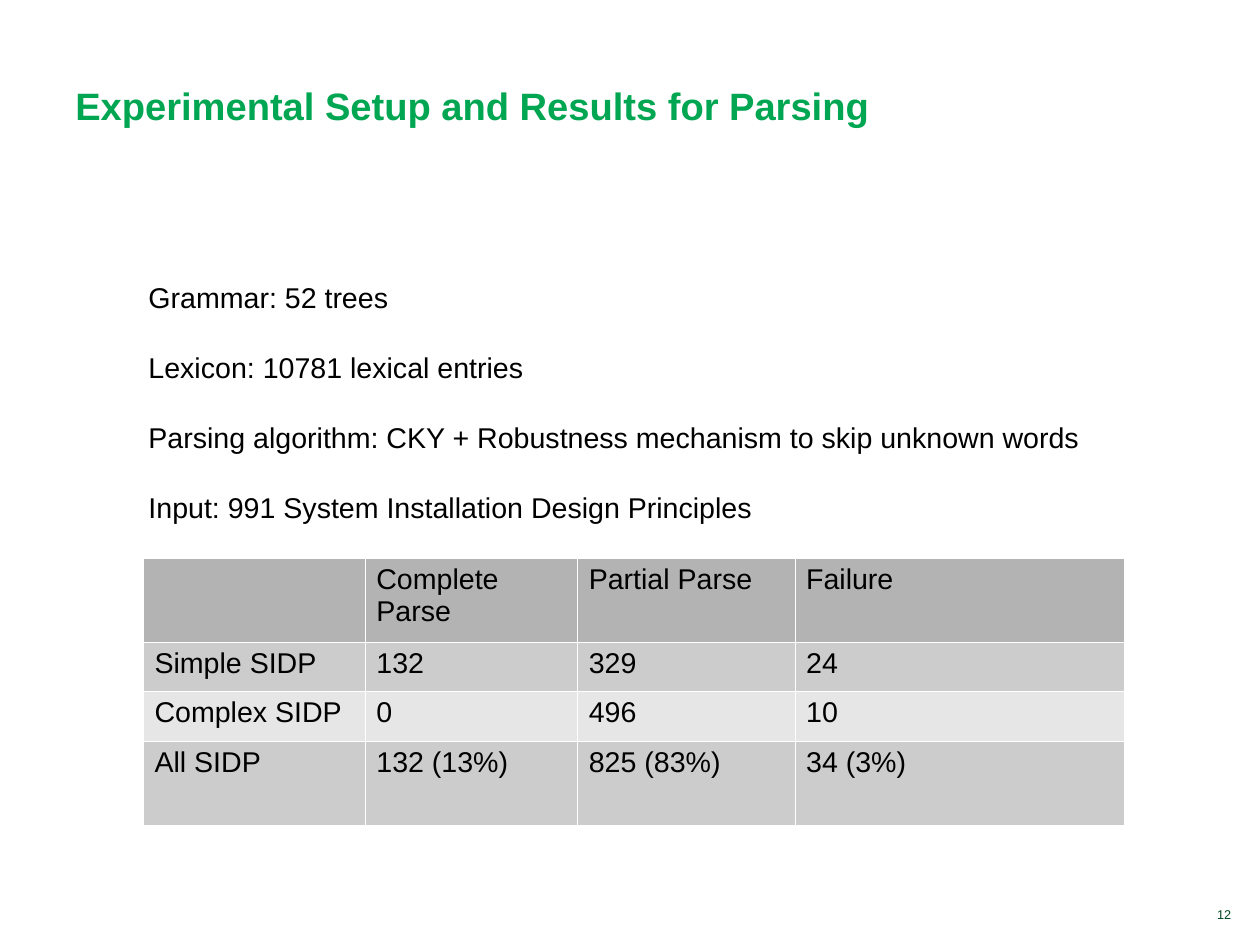
from lxml.etree import SubElement
from pptx import Presentation
from pptx.dml.color import RGBColor
from pptx.enum.text import MSO_ANCHOR, MSO_AUTO_SIZE, PP_ALIGN
from pptx.oxml.ns import qn
from pptx.util import Cm, Pt

GREEN, DARK_GREEN, BLACK, WHITE = "00A651", "004621", "000000", "FFFFFF"
ROW_FILLS = ["B3B3B3", "CCCCCC", "E6E6E6", "CCCCCC"]
COLUMN_WIDTHS = [4.93, 4.72, 4.83, 7.32]
ROW_HEIGHTS = [1.86, 1.1, 1.1, 1.88]

SETUP = [
    "Grammar: 52 trees",
    "Lexicon: 10781 lexical entries",
    "Parsing algorithm: CKY + Robustness mechanism to skip unknown words",
    "Input: 991 System Installation Design Principles",
]
RESULTS = [
    ["", "Complete Parse", "Partial Parse", "Failure"],
    ["Simple SIDP", "132", "329", "24"],
    ["Complex SIDP", "0", "496", "10"],
    ["All SIDP", "132 (13%)", "825 (83%)", "34 (3%)"],
]


def color(hex_code):
    return RGBColor.from_string(hex_code)


def add_run(paragraph, text, size=18, hex_code=BLACK, bold=False):
    run = paragraph.add_run()
    run.text = text
    run.font.name = "Arial"
    run.font.size = Pt(size)
    run.font.bold = bold
    run.font.color.rgb = color(hex_code)


def place_title(slide, left, top, width, height):
    title = slide.shapes.title
    title.left, title.top = Cm(left), Cm(top)
    title.width, title.height = Cm(width), Cm(height)
    frame = title.text_frame
    frame.auto_size = MSO_AUTO_SIZE.NONE
    frame.vertical_anchor = MSO_ANCHOR.BOTTOM
    heading = frame.paragraphs[0]
    heading.alignment = PP_ALIGN.LEFT
    add_run(heading, "Experimental Setup and Results for Parsing", 24, GREEN, True)


def add_text_frame(slide, left, top, width, height):
    frame = slide.shapes.add_textbox(Cm(left), Cm(top), Cm(width), Cm(height)).text_frame
    frame.word_wrap = True
    return frame


def add_setup(slide, left, top, width, height):
    frame = add_text_frame(slide, left, top, width, height)
    for index, fact in enumerate(SETUP):
        paragraph = frame.add_paragraph() if index else frame.paragraphs[0]
        paragraph.space_after = Pt(22.5)
        add_run(paragraph, fact)


def add_borders(cell):
    """Draw a white hairline on all four sides; call before setting the fill."""
    properties = cell._tc.get_or_add_tcPr()
    for side in ("a:lnL", "a:lnR", "a:lnT", "a:lnB"):
        line = SubElement(properties, qn(side), w=str(Pt(0.06)))
        fill = SubElement(line, qn("a:solidFill"))
        SubElement(fill, qn("a:srgbClr"), val=WHITE)


def add_results(slide, left, top):
    table = slide.shapes.add_table(
        len(RESULTS), len(COLUMN_WIDTHS), Cm(left), Cm(top),
        Cm(sum(COLUMN_WIDTHS)), Cm(sum(ROW_HEIGHTS)),
    ).table
    for column, width in zip(table.columns, COLUMN_WIDTHS):
        column.width = Cm(width)
    for row, height, values, row_fill in zip(table.rows, ROW_HEIGHTS, RESULTS, ROW_FILLS):
        row.height = Cm(height)
        for cell, value in zip(row.cells, values):
            add_borders(cell)
            cell.fill.solid()
            cell.fill.fore_color.rgb = color(row_fill)
            if value:
                add_run(cell.text_frame.paragraphs[0], value)


def add_page_number(slide, left, top, width, height):
    frame = add_text_frame(slide, left, top, width, height)
    frame.vertical_anchor = MSO_ANCHOR.BOTTOM
    number = frame.paragraphs[0]
    number.alignment = PP_ALIGN.RIGHT
    add_run(number, "12", 8, DARK_GREEN)


def main():
    deck = Presentation()
    deck.slide_width, deck.slide_height = Cm(28), Cm(21)
    slide = deck.slides.add_slide(deck.slide_layouts[5])
    place_title(slide, 1.42, 0.43, 19.08, 2.54)
    add_setup(slide, 3.05, 6.1, 21.84, 10.92)
    add_results(slide, 3.18, 12.4)
    add_page_number(slide, 23.93, 20.04, 3.68, 0.58)
    deck.save("out.pptx")


if __name__ == "__main__":
    main()
